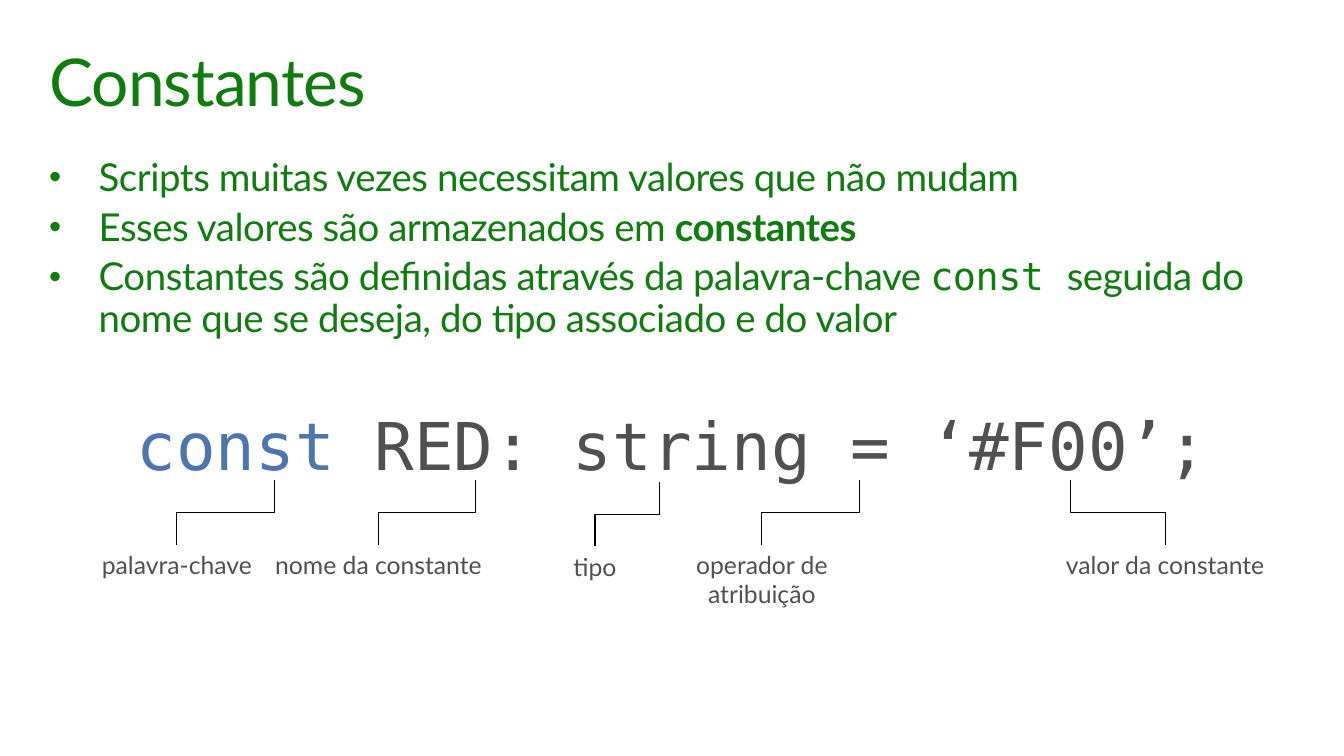
import pptx
import pptx.dml.color
import pptx.enum.shapes
import pptx.enum.text
import pptx.oxml.ns
import pptx.util
from lxml import etree
from pptx.util import Inches

COLORS = {"green": "107C10", "gray": "505050", "blue": "4F76AC", "black": "000000"}
SANS = "Lato"
MONO = "DejaVu Sans Mono"

BULLETS = [
    [("Scripts muitas vezes necessitam valores que não mudam", {})],
    [("Esses valores são armazenados em ", {}), ("constantes", {"bold": True})],
    [
        ("Constantes são definidas através da palavra-chave ", {}),
        ("const ", {"font": MONO}),
        ("seguida do nome que se deseja, do tipo associado e do valor", {}),
    ],
]

# label, x under the code, x above the label, top of connector, box width, box height
CALLOUTS = [
    ("palavra-chave", 2.78, 1.79, 4.86, 2.45, 0.71),
    ("nome da constante", 4.81, 3.83, 4.86, 2.45, 0.71),
    ("tipo", 6.67, 6.02, 4.88, 1.61, 0.4),
    ("operador de atribuição", 8.7, 7.71, 4.86, 2.66, 1.01),
    ("valor da constante", 10.83, 11.79, 4.86, 2.45, 0.71),
]
DROP = 0.65


def rgb(name):
    return pptx.dml.color.RGBColor.from_string(COLORS[name])


def add_span(para, text, size, color, font=SANS, bold=False, tracking=0):
    """Add a run; tracking is the letter spacing in points."""
    span = para.add_run()
    span.text = text
    span.font.size = pptx.util.Pt(size)
    span.font.name = font
    span.font.bold = bold
    span.font.color.rgb = rgb(color)
    if tracking:
        span.font._element.set("spc", str(round(tracking * 100)))


def set_frame(frame, inset_x, inset_y):
    frame.word_wrap = True
    frame.auto_size = pptx.enum.text.MSO_AUTO_SIZE.NONE
    frame.vertical_anchor = pptx.enum.text.MSO_ANCHOR.TOP
    frame.margin_left = frame.margin_right = Inches(inset_x)
    frame.margin_top = frame.margin_bottom = Inches(inset_y)


def add_text_box(slide, left, top, width, height, inset_x=0.1, inset_y=0.1):
    box = slide.shapes.add_textbox(
        Inches(left), Inches(top), Inches(width), Inches(height)
    )
    set_frame(box.text_frame, inset_x, inset_y)
    return box.text_frame


def set_title(slide, text):
    title = slide.shapes.title
    title.left, title.top = Inches(0.4), Inches(0.4)
    title.width, title.height = Inches(12.8), Inches(1)
    set_frame(title.text_frame, 0.1, 0.1)
    para = title.text_frame.paragraphs[0]
    para.alignment = pptx.enum.text.PP_ALIGN.LEFT
    para.line_spacing = 0.9
    add_span(para, text, 48, "green", tracking=-0.7)


def set_bullet(para):
    props = para._p.get_or_add_pPr()
    props.set("marL", str(Inches(0.5)))
    props.set("indent", str(-Inches(0.5)))
    etree.SubElement(props, pptx.oxml.ns.qn("a:buSzPct")).set("val", "90000")
    font = etree.SubElement(props, pptx.oxml.ns.qn("a:buFont"))
    font.set("typeface", "Arial")
    etree.SubElement(props, pptx.oxml.ns.qn("a:buChar")).set("char", "•")


def add_bullets(slide):
    frame = add_text_box(slide, 0.4, 1.5, 12.8, 2.07)
    for index, spans in enumerate(BULLETS):
        para = frame.add_paragraph() if index else frame.paragraphs[0]
        set_bullet(para)
        para.line_spacing = 0.9
        para.space_before = pptx.util.Pt(6 if index else 0)
        for text, style in spans:
            add_span(para, text, 28, "green", tracking=-0.3, **style)


def add_code(slide):
    para = add_text_box(slide, 0.4, 3.99, 12.8, 1.11).paragraphs[0]
    para.alignment = pptx.enum.text.PP_ALIGN.CENTER
    add_span(para, "const ", 48, "blue", MONO)
    add_span(para, "RED: string = ‘#F00’;", 48, "gray", MONO)


def add_elbow(slide, start_x, end_x, top):
    """Draw a down-across-down connector as a rotated elbow."""
    center_x, center_y = (start_x + end_x) / 2, top + DROP / 2
    half_span = abs(start_x - end_x) / 2
    goes_left = end_x < start_x
    half_drop = DROP / 2 if goes_left else -DROP / 2
    line = slide.shapes.add_connector(
        pptx.enum.shapes.MSO_CONNECTOR.ELBOW,
        Inches(center_x - half_drop),
        Inches(center_y - half_span),
        Inches(center_x + half_drop),
        Inches(center_y + half_span),
    )
    line.line.color.rgb = rgb("black")
    line.line.width = pptx.util.Pt(0.85)
    props = line._element.spPr
    degrees = 90 if goes_left else 270
    props.find(pptx.oxml.ns.qn("a:xfrm")).set("rot", str(degrees * 60000))
    etree.SubElement(props, pptx.oxml.ns.qn("a:effectLst"))


def add_callout(slide, label, start_x, end_x, top, width, height):
    add_elbow(slide, start_x, end_x, top)
    frame = add_text_box(
        slide, end_x - width / 2, top + DROP, width, height, 0.15, 0.05
    )
    para = frame.paragraphs[0]
    para.alignment = pptx.enum.text.PP_ALIGN.CENTER
    add_span(para, label, 18, "gray")


def main():
    deck = pptx.Presentation()
    deck.slide_width, deck.slide_height = Inches(13.6), Inches(7.65)
    slide = deck.slides.add_slide(deck.slide_layouts.get_by_name("Title Only"))
    set_title(slide, "Constantes")
    add_bullets(slide)
    add_code(slide)
    for callout in CALLOUTS:
        add_callout(slide, *callout)
    deck.save("out.pptx")


if __name__ == "__main__":
    main()
